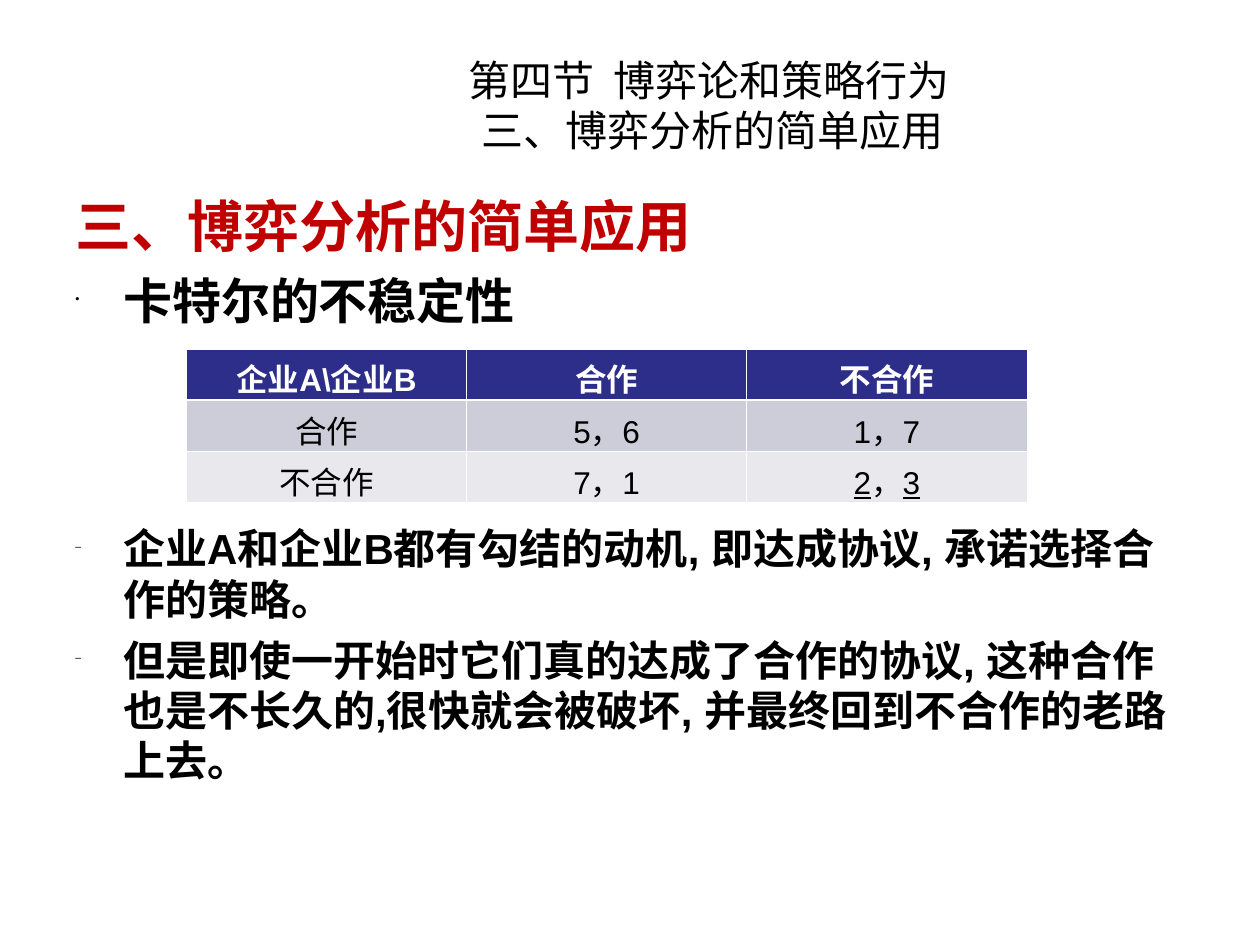
"""Build a slide on the instability of a cartel, with its payoff table."""
from lxml import etree
from pptx import Presentation
from pptx.dml.color import RGBColor
from pptx.enum.text import MSO_ANCHOR, PP_ALIGN
from pptx.oxml.ns import qn
from pptx.util import Inches, Pt

BLACK, WHITE, RED, NAVY = "000000", "FFFFFF", "C00000", "2D2D8A"
ROW_FILLS = (NAVY, "CDCDDA", "E8E8ED")
THIN, THICK = 0.45, 1.47
HANG = 0.38

HEADER = [
    dict(text="第四节  博弈论和策略行为", left=3.12),
    dict(text="三、博弈分析的简单应用", left=3.22),
]
TOPIC = [
    dict(text="三、博弈分析的简单应用", size=32, color=RED, before=8),
    dict(text="卡特尔的不稳定性", size=28, before=7, bullet="•"),
]
CONCLUSIONS = [
    dict(text="企业A和企业B都有勾结的动机, 即达成协议, 承诺选择合作的策略。",
         before=6, bullet="–"),
    dict(text="但是即使一开始时它们真的达成了合作的协议, 这种合作也是不长久的,"
              "很快就会被破坏, 并最终回到不合作的老路上去。",
         before=6, bullet="–"),
]
PAYOFFS = [
    ["企业A\\企业B", "合作", "不合作"],
    ["合作", "5，6", "1，7"],
    ["不合作", "7，1", "2，3"],
]
EQUILIBRIUM = "2，3"


def rgb(color):
    return RGBColor.from_string(color)


def style(run, size, color=BLACK, bold=False, face="Arial"):
    font = run.font
    font.name, font.size, font.bold = face, Pt(size), bold
    font.color.rgb = rgb(color)


def add_bullet(paragraph, mark):
    props = paragraph._p.get_or_add_pPr()
    tint = etree.SubElement(props, qn("a:buClr"))
    etree.SubElement(tint, qn("a:srgbClr"), val=BLACK)
    etree.SubElement(props, qn("a:buSzPct"), val="25000")
    etree.SubElement(props, qn("a:buChar"), char=mark)


def add_text(slide, top, height, items, bold=True, face="Arial"):
    frame = slide.shapes.add_textbox(
        Inches(0.5), Inches(top), Inches(9), Inches(height)).text_frame
    frame.word_wrap = True
    frame.text = "\n".join(item["text"] for item in items)
    for paragraph, item in zip(frame.paragraphs, items):
        paragraph.space_before = Pt(item.get("before", 0))
        props = paragraph._p.get_or_add_pPr()
        props.set("marL", str(Inches(item.get("left", HANG))))
        props.set("indent", str(0 if "left" in item else -Inches(HANG)))
        if "bullet" in item:
            add_bullet(paragraph, item["bullet"])
        for run in paragraph.runs:
            style(run, item.get("size", 24), item.get("color", BLACK), bold, face)
    return frame


def add_borders(cell, row):
    widths = dict(L=THIN, R=THIN, T=THICK if row == 1 else THIN,
                  B=THICK if row == 0 else THIN)
    props = cell._tc.get_or_add_tcPr()
    for side, width in widths.items():
        line = etree.SubElement(props, qn(f"a:ln{side}"), w=str(Pt(width)))
        fill = etree.SubElement(line, qn("a:solidFill"))
        etree.SubElement(fill, qn("a:srgbClr"), val=WHITE)


def fill_cell(cell, row, text):
    add_borders(cell, row)
    cell.fill.solid()
    cell.fill.fore_color.rgb = rgb(ROW_FILLS[row])
    paragraph = cell.text_frame.paragraphs[0]
    paragraph.alignment = PP_ALIGN.CENTER
    for part in text if text == EQUILIBRIUM else [text]:
        run = paragraph.add_run()
        run.text = part
        style(run, 18, WHITE if row == 0 else BLACK, row == 0)
        if text == EQUILIBRIUM:
            run.font.underline = part.isdigit()


def add_payoffs(slide):
    table = slide.shapes.add_table(
        len(PAYOFFS), len(PAYOFFS[0]),
        Inches(1.48), Inches(2.77), Inches(6.67), Inches(1.22)).table
    for row, texts in enumerate(PAYOFFS):
        for column, text in enumerate(texts):
            fill_cell(table.cell(row, column), row, text)


def main():
    deck = Presentation()
    deck.slide_width, deck.slide_height = Inches(10), Inches(7.5)
    slide = deck.slides.add_slide(deck.slide_layouts[6])
    add_text(slide, 1.47, 1.25, TOPIC)
    add_text(slide, 4.1, 2.6, CONCLUSIONS)
    add_payoffs(slide)
    header = add_text(slide, 0.36, 0.94, HEADER, False, "Noto Sans CJK SC")
    header.vertical_anchor = MSO_ANCHOR.MIDDLE
    deck.save("out.pptx")


if __name__ == "__main__":
    main()
